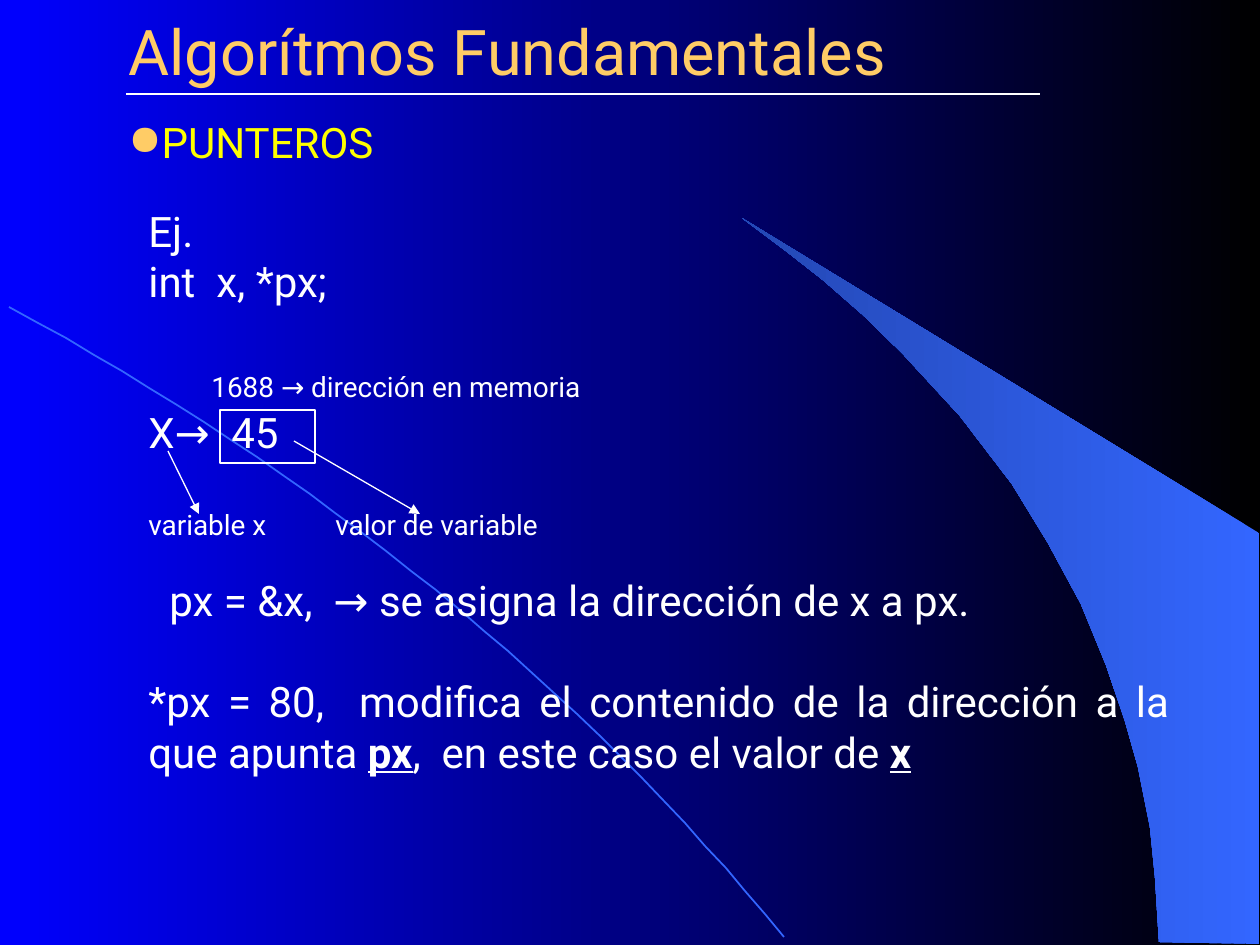
from dataclasses import dataclass

from lxml.etree import SubElement
from pptx import Presentation
from pptx.dml.color import RGBColor
from pptx.enum.shapes import MSO_CONNECTOR as Connector, MSO_SHAPE as ShapeKind
from pptx.enum.text import MSO_ANCHOR as Anchor, PP_ALIGN as Align
from pptx.oxml.ns import qn
from pptx.util import Emu, Pt

SCALE = 914400 / 126
FONT = "Roboto"
WHITE, GOLD, YELLOW = "FFFFFF", "FFCC66", "FFFF00"
BLUE, SKY, DEEP_SKY, BLACK = "0000FF", "3366FF", "2448B4", "000000"


@dataclass(frozen=True)
class Box:
    left: int
    top: int
    width: int
    height: int


@dataclass(frozen=True)
class Segment:
    start: tuple[int, int]
    end: tuple[int, int]
    points: float = 0.75
    arrow: bool = True


@dataclass(frozen=True)
class TextLine:
    wording: tuple[str, ...]
    size: int = 24
    before: float = 0
    indent: int = 0
    tab: int = 0


TITLE_BOX = Box(116, 21, 1071, 73)
HEADING_BOX = Box(116, 116, 1071, 53)
BODY_BOX = Box(136, 199, 1046, 583)
MEMORY_CELL = Box(220, 410, 95, 53)

WING = [
    (1159, 942), (1259, 944), (1259, 533), (742, 218), (786, 251), (823, 280),
    (863, 315), (902, 353), (960, 416), (1012, 484), (1048, 543), (1081, 604),
    (1106, 665), (1125, 721), (1138, 767), (1150, 827), (1155, 877),
]

SEGMENTS = [
    Segment((126, 94), (1040, 94), 1, False),
    Segment((294, 441), (420, 514)),
    Segment((168, 451), (199, 514)),
]

BODY_LINES = [
    TextLine(("Ej.",)),
    TextLine(("int  x, *px;",)),
    TextLine(("1688 → dirección en memoria",), 16, before=36.4, indent=63),
    TextLine(("X→\t45",), before=2, tab=83),
    TextLine(("variable x\tvalor de variable",), 16, before=28.8, tab=187),
    TextLine(("px = &x,  → se asigna la dirección de x a px.",), before=19.2, indent=21),
    TextLine(
        ("*px = 80,  modifica el contenido de la dirección a la que apunta ",
         "px", ",  en este caso el valor de ", "x"),
        before=28.8,
    ),
]


def px(length: int) -> Emu:
    return Emu(round(length * SCALE))


def color(value: str) -> RGBColor:
    return RGBColor.from_string(value)


def place(box: Box) -> tuple[Emu, Emu, Emu, Emu]:
    return px(box.left), px(box.top), px(box.width), px(box.height)


def fill_gradient(fill, first: str, last: str) -> None:
    fill.gradient()
    fill.gradient_angle = 180
    for stop, position, value in zip(fill.gradient_stops, (0, 1), (first, last)):
        stop.position = position
        stop.color.rgb = color(value)


def style_line(line, value: str, points: float) -> None:
    line.color.rgb = color(value)
    line.width = Pt(points)


def style_run(run, size: int, value: str) -> None:
    run.font.name = FONT
    run.font.size = Pt(size)
    run.font.color.rgb = color(value)


def add_outline(slide, points: list[tuple[float, float]], closed: bool):
    builder = slide.shapes.build_freeform(*points[0], scale=SCALE)
    builder.add_line_segments(points[1:], close=closed)
    shape = builder.convert_to_shape()
    shape.shadow.inherit = False
    return shape


def arc_points(steps: int = 32) -> list[tuple[float, float]]:
    left, top, width, height = -1158, 1, 2318, 1886
    first, last = 0.35, 0.65
    points = []
    for step in range(steps + 1):
        t = first + (last - first) * step / steps
        points.append((left + width * (3 * t - t**3) / 2,
                       top + height * (3 * t**2 - t**3) / 2))
    return points


def add_segment(slide, segment: Segment) -> None:
    connector = slide.shapes.add_connector(
        Connector.STRAIGHT, *map(px, segment.start + segment.end))
    style_line(connector.line, WHITE, segment.points)
    properties = connector._element.spPr
    if segment.arrow:
        SubElement(properties.find(qn("a:ln")), qn("a:tailEnd"), type="triangle")
    SubElement(properties, qn("a:effectLst"))


def add_text_frame(slide, box: Box):
    text_frame = slide.shapes.add_textbox(*place(box)).text_frame
    text_frame.word_wrap = True
    return text_frame


def add_title(slide) -> None:
    title = slide.shapes.title
    title.left, title.top, title.width, title.height = place(TITLE_BOX)
    title.text_frame.text = "Algorítmos Fundamentales"
    title.text_frame.vertical_anchor = Anchor.BOTTOM
    paragraph = title.text_frame.paragraphs[0]
    paragraph.alignment = Align.LEFT
    style_run(paragraph.runs[0], 36, GOLD)


def add_heading(slide) -> None:
    text_frame = add_text_frame(slide, HEADING_BOX)
    text_frame.text = "PUNTEROS"
    paragraph = text_frame.paragraphs[0]
    paragraph.line_spacing = 0.9
    style_run(paragraph.runs[0], 24, YELLOW)
    properties = paragraph._p.get_or_add_pPr()
    bullet_color = SubElement(properties, qn("a:buClr"))
    SubElement(bullet_color, qn("a:srgbClr"), val=GOLD)
    SubElement(properties, qn("a:buChar"), char="●")


def write_line(paragraph, line: TextLine) -> None:
    paragraph.text = line.wording[0]
    for words in line.wording[1:]:
        paragraph.add_run().text = words
    for index, run in enumerate(paragraph.runs):
        style_run(run, line.size, WHITE)
        run.font.bold = run.font.underline = index % 2 == 1
    paragraph.alignment = Align.JUSTIFY
    paragraph.space_before = Pt(line.before)
    properties = paragraph._p.get_or_add_pPr()
    properties.set("marL", str(px(line.indent)))
    if line.tab:
        tabs = SubElement(properties, qn("a:tabLst"))
        SubElement(tabs, qn("a:tab"), pos=str(px(line.tab)), algn="l")


def add_body(slide) -> None:
    text_frame = add_text_frame(slide, BODY_BOX)
    for index, line in enumerate(BODY_LINES):
        paragraph = text_frame.add_paragraph() if index else text_frame.paragraphs[0]
        write_line(paragraph, line)


def main() -> None:
    presentation = Presentation()
    presentation.slide_width, presentation.slide_height = px(1260), px(945)
    slide = presentation.slides.add_slide(presentation.slide_layouts[5])
    fill_gradient(slide.background.fill, BLACK, BLUE)

    wing = add_outline(slide, WING, True)
    fill_gradient(wing.fill, SKY, DEEP_SKY)
    wing.line.fill.background()
    arc = add_outline(slide, arc_points(), False)
    arc.fill.background()
    style_line(arc.line, SKY, 1)

    add_title(slide)
    add_heading(slide)
    add_body(slide)
    cell = slide.shapes.add_shape(ShapeKind.RECTANGLE, *place(MEMORY_CELL))
    cell.shadow.inherit = False
    cell.fill.background()
    style_line(cell.line, WHITE, 0.75)
    for segment in SEGMENTS:
        add_segment(slide, segment)
    presentation.save("out.pptx")


if __name__ == "__main__":
    main()
